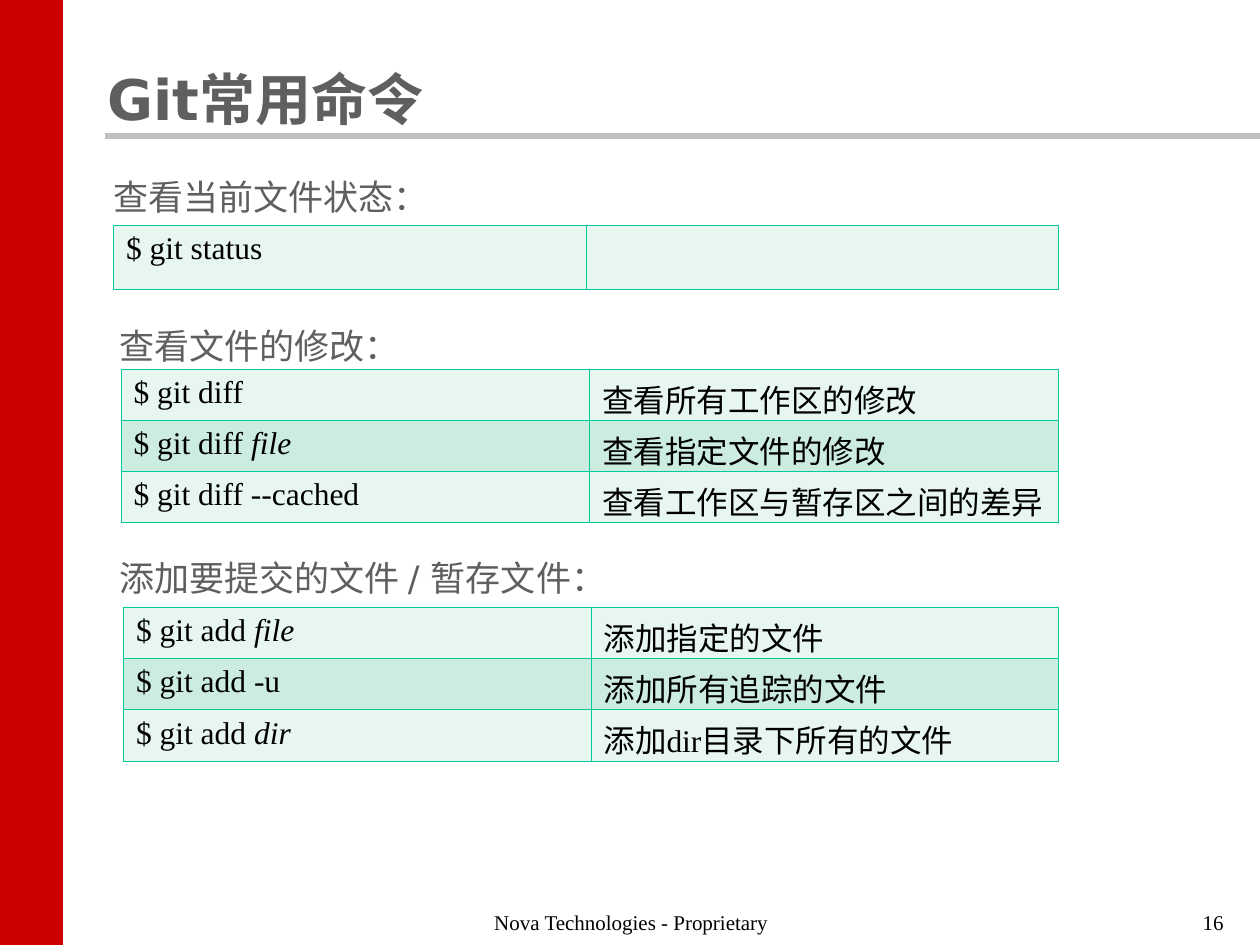
from pptx import Presentation
from pptx.dml.color import RGBColor
from pptx.enum.shapes import MSO_CONNECTOR, MSO_SHAPE
from pptx.enum.text import MSO_ANCHOR, MSO_AUTO_SIZE, PP_ALIGN
from pptx.oxml.ns import qn
from pptx.util import Inches, Pt
from lxml.etree import SubElement

RED = RGBColor(0xCC, 0x00, 0x00)
SILVER = RGBColor(0xC0, 0xC0, 0xC0)
GRAY = RGBColor(0x5F, 0x5F, 0x5F)
BLACK = RGBColor(0x00, 0x00, 0x00)
TEAL = RGBColor(0x00, 0xCC, 0x99)
BANDS = (RGBColor(0xE7, 0xF6, 0xEF), RGBColor(0xCB, 0xEC, 0xDE))
SANS = "DejaVu Sans"
SERIF = "Times New Roman"

# Heading, heading box, table box, rows of cells; each cell is a list of runs,
# and a run in italics is marked with a leading "*".
SECTIONS = [
    ("查看当前文件状态：", (0.8, 1.28, 8.58, 0.5), (0.9, 1.79, 7.5, 0.51),
     [(["$ git status"], [])]),
    ("查看文件的修改：", (0.85, 2.46, 8.58, 0.5), (0.96, 2.93, 7.44, 1.22),
     [(["$ git diff"], ["查看所有工作区的修改"]),
      (["$ git diff ", "*file"], ["查看指定文件的修改"]),
      (["$ git diff --cached"], ["查看工作区与暂存区之间的差异"])]),
    ("添加要提交的文件 / 暂存文件：", (0.85, 4.3, 8.58, 0.5), (0.98, 4.82, 7.42, 1.22),
     [(["$ git add ", "*file"], ["添加指定的文件"]),
      (["$ git add -u"], ["添加所有追踪的文件"]),
      (["$ git add ", "*dir"], ["添加dir目录下所有的文件"])]),
]


def add_run(paragraph, text, size, name, color, bold=False, italic=False):
    run = paragraph.add_run()
    run.text = text
    font = run.font
    font.size, font.name, font.bold, font.italic = Pt(size), name, bold, italic
    font.color.rgb = color


def add_text(slide, box, text, size, name, color, align=PP_ALIGN.LEFT,
             spacing=None, wrap=True):
    shape = slide.shapes.add_textbox(*map(Inches, box))
    frame = shape.text_frame
    frame.word_wrap = wrap
    frame.auto_size = MSO_AUTO_SIZE.SHAPE_TO_FIT_TEXT
    paragraph = frame.paragraphs[0]
    paragraph.alignment = align
    paragraph.line_spacing = spacing
    add_run(paragraph, text, size, name, color)


def add_frame(slide, band_box, rule_box):
    # Red side band
    band = slide.shapes.add_shape(MSO_SHAPE.RECTANGLE, *map(Inches, band_box))
    band.shadow.inherit = False
    band.fill.solid()
    band.fill.fore_color.rgb = RED
    band.line.fill.background()
    # Rule under the title
    left, top, width, height = rule_box
    rule = slide.shapes.add_connector(
        MSO_CONNECTOR.STRAIGHT, Inches(left), Inches(top),
        Inches(left + width), Inches(top + height))
    rule.line.color.rgb = SILVER
    rule.line.width = Pt(3)
    SubElement(rule._element.spPr, qn("a:effectLst"))


def add_title(slide, box, text):
    title = slide.shapes.title
    title.left, title.top, title.width, title.height = map(Inches, box)
    frame = title.text_frame
    frame.auto_size = MSO_AUTO_SIZE.NONE
    frame.vertical_anchor = MSO_ANCHOR.BOTTOM
    paragraph = frame.paragraphs[0]
    paragraph.alignment = PP_ALIGN.LEFT
    paragraph.line_spacing = 0.8
    add_run(paragraph, text, 32, SANS, GRAY, bold=True)


def style_cell(cell, color):
    cell.margin_left = cell.margin_right = Inches(0.1)
    cell.margin_top = cell.margin_bottom = Inches(0.05)
    properties = cell._tc.get_or_add_tcPr()
    for side in ("a:lnL", "a:lnR", "a:lnT", "a:lnB"):
        border = SubElement(properties, qn(side), w=str(Pt(0.45)))
        fill = SubElement(border, qn("a:solidFill"))
        SubElement(fill, qn("a:srgbClr"), val=str(TEAL))
    cell.fill.solid()
    cell.fill.fore_color.rgb = color


def add_command_table(slide, box, rows):
    left, top, width, height = map(Inches, box)
    table = slide.shapes.add_table(len(rows), 2, left, top, width, height).table
    table.first_row = table.horz_banding = False
    for row_index, row in enumerate(rows):
        for column_index, runs in enumerate(row):
            cell = table.cell(row_index, column_index)
            style_cell(cell, BANDS[row_index % 2])
            paragraph = cell.text_frame.paragraphs[0]
            for text in runs:
                add_run(paragraph, text.lstrip("*"), 18, SERIF, BLACK,
                        italic=text.startswith("*"))


def add_section(slide, heading, heading_box, table_box, rows):
    add_text(slide, heading_box, heading, 20, SANS, GRAY, spacing=1.2)
    add_command_table(slide, table_box, rows)


def add_footer(slide, footer_box, number_box):
    add_text(slide, footer_box, "Nova Technologies - Proprietary", 12, SERIF, BLACK,
             PP_ALIGN.CENTER, wrap=False)
    add_text(slide, number_box, "16", 12, SERIF, BLACK, PP_ALIGN.RIGHT, wrap=False)


def main():
    presentation = Presentation()
    presentation.slide_width = Inches(10)
    presentation.slide_height = Inches(7.5)
    slide = presentation.slides.add_slide(presentation.slide_layouts[5])
    add_frame(slide, (0, 0, 0.5, 7.5), (0.83, 1.08, 9.17, 0))
    add_footer(slide, (3.71, 7.17, 2.6, 0.3), (8.92, 7.17, 0.89, 0.3))
    add_title(slide, (0.75, 0.17, 7.75, 0.92), "Git常用命令")
    for section in SECTIONS:
        add_section(slide, *section)
    presentation.save("out.pptx")


if __name__ == "__main__":
    main()
